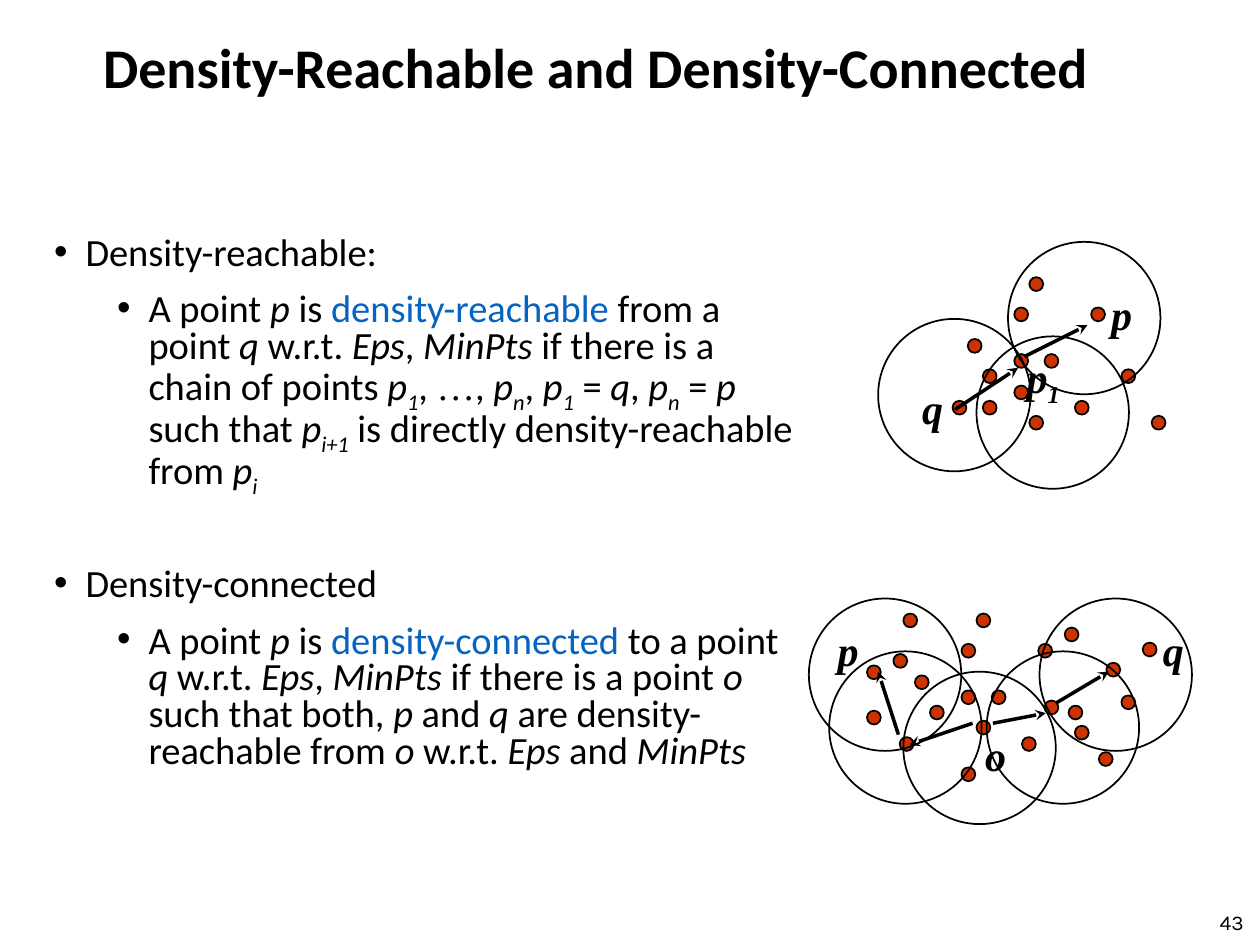
"""Build the slide on density-reachable and density-connected points."""
from lxml import etree
from pptx import Presentation
from pptx.dml.color import RGBColor
from pptx.enum.shapes import MSO_CONNECTOR, MSO_SHAPE
from pptx.enum.text import MSO_ANCHOR, PP_ALIGN
from pptx.oxml.ns import qn
from pptx.util import Pt

OVAL = MSO_SHAPE.OVAL
LINE = MSO_CONNECTOR.STRAIGHT
MIDDLE = MSO_ANCHOR.MIDDLE
TOP = MSO_ANCHOR.TOP
LEFT = PP_ALIGN.LEFT
RIGHT = PP_ALIGN.RIGHT
BLACK, BLUE, RED = "000000", "0563C1", "CC3300"
SERIF = "Times New Roman"
DOT, RING = 7.9, 87.1

TITLE = {"name": "Calibri", "size": Pt(32), "bold": True}
BODY = {"name": "Calibri", "size": Pt(22)}
LABEL = {"name": SERIF, "size": Pt(24), "bold": True, "italic": True}
NUMBER = {"name": "Karla", "size": Pt(12)}
MARKS = {"/": {"italic": True}, "_": {"italic": True}, "~": {"name": SERIF}, "#": {}}


def hue(code):
    return RGBColor.from_string(code)


def write(par, text, form):
    for part in text.split("|"):
        mark = part[0] if part[0] in MARKS else ""
        run = par.add_run()
        run.text = part[len(mark):]
        for key, value in {**form, **MARKS.get(mark, {})}.items():
            setattr(run.font, key, value)
        run.font.color.rgb = hue(BLUE if mark == "#" else BLACK)
        if mark == "_":
            run._r.get_or_add_rPr().set("baseline", "-25000")


deck = Presentation()
deck.slide_width, deck.slide_height = Pt(720), Pt(540)
slide = deck.slides.add_slide(deck.slide_layouts[6])

frames = []
for box, anchor in [
    ((51.8, 18.7, 620.6, 43.2), MIDDLE),
    ((23.8, 131.8, 444.2, 342.7), TOP),
    ((555.8, 518.4, 162, 16.6), MIDDLE),
]:
    frame = slide.shapes.add_textbox(*map(Pt, box)).text_frame
    frame.word_wrap, frame.vertical_anchor = True, anchor
    frames.append(frame)
title, body, number = frames

for frame, text, form, align in [
    (title, "Density-Reachable and Density-Connected", TITLE, LEFT),
    (number, "43", NUMBER, RIGHT),
]:
    par = frame.paragraphs[0]
    par.alignment = align
    write(par, text, form)
title.paragraphs[0].line_spacing = 0.9

points = [
    (0, 0, "Density-reachable:"),
    (1, 11, "A point |/p| is |#density-reachable| from a point |/q| w.r.t. |/Eps|, |/MinPts"
            "| if there is a chain of points |/p|_1|, |~…|, |/p|_n|, |/p|_1| = |/q|, |/p|_n"
            "| = |/p| such that |/p|_i+1| is directly density-reachable from |/p|_i"),
    (0, 43, "Density-connected"),
    (1, 11, "A point |/p| is |#density-connected| to a point |/q| w.r.t. |/Eps|, |/MinPts"
            "| if there is a point |/o |such that both, |/p| and |/q"
            "| are density-reachable from |/o| w.r.t. |/Eps| and |/MinPts"),
]
for level, gap, text in points:
    par = body.add_paragraph() if level or gap else body.paragraphs[0]
    par.level = level
    par.line_spacing, par.space_before = 0.8, Pt(gap)
    props = par._p.get_or_add_pPr()
    props.set("marL", str(Pt(18 + 36 * level)))
    props.set("indent", str(Pt(-18)))
    etree.SubElement(props, qn("a:buFont")).set("typeface", "Arial")
    etree.SubElement(props, qn("a:buChar")).set("char", "•")
    write(par, text, BODY)

shared = [
    (553, 193.7), (579.6, 202.3), (579.6, 175.7), (544.3, 229), (561.6, 211),
    (588.2, 158.4), (640.8, 211), (623.5, 175.7), (596.9, 202.3), (614.2, 229),
    (658.1, 237.6),
]
reach = {
    "dots": shared + [(561.6, 229), (588.2, 237.6), (579.6, 220.3)],
    "rings": [(558, 192.2), (501.8, 182.2), (576, 138.2)],
    "labels": [("p", 627.8, 161.3), ("q", 519.8, 215.3), ("p|_1", 579.6, 197.3)],
    "arrows": [(585.4, 203.8, 621.4, 185.8), (545.8, 234, 581.8, 210.2)],
}
joined = {
    "dots": [(x - 30.2, y + 192.2) for x, y in shared] + [
        (549.4, 438.5), (558, 411.8), (495.4, 406.1), (640.8, 397.4),
        (596.9, 400.3), (614.2, 414.7), (653, 367.2), (608.4, 358.6),
        (632.2, 378.7), (510.5, 373.7), (495.4, 380.2), (516.2, 350.6),
    ],
    "rings": [(473.8, 372.2), (516.2, 383.8), (563.8, 372.2), (594, 342), (462.2, 342)],
    "labels": [("p", 471.6, 353.5), ("q", 657.4, 353.5), ("o", 555.8, 413.3)],
    "arrows": [
        (555.8, 413.3, 519.8, 425.5), (567.4, 413.3, 597.6, 407.5),
        (513.4, 419.8, 501.8, 383.8), (603.4, 401.8, 633.6, 383.8),
    ],
}

for plot in (reach, joined):
    shapes = slide.shapes.add_group_shape().shapes
    for kind, size in (("dots", DOT), ("rings", RING)):
        for x, y in plot[kind]:
            oval = shapes.add_shape(OVAL, Pt(x), Pt(y), Pt(size), Pt(size))
            oval.shadow.inherit = False
            oval.line.color.rgb, oval.line.width = hue(BLACK), Pt(1)
            if kind == "dots":
                oval.fill.solid()
                oval.fill.fore_color.rgb = hue(RED)
            else:
                oval.fill.background()
    for text, x, y in plot["labels"]:
        wide = 48.2 if "_" in text else 30.2
        frame = shapes.add_textbox(Pt(x), Pt(y), Pt(wide), Pt(36)).text_frame
        frame.word_wrap = True
        write(frame.paragraphs[0], text, LABEL)
    for ends in plot["arrows"]:
        arrow = shapes.add_connector(LINE, *map(Pt, ends))
        arrow.line.color.rgb, arrow.line.width = hue(BLACK), Pt(2)
        tip = etree.SubElement(arrow.line._get_or_add_ln(), qn("a:tailEnd"))
        tip.set("type", "stealth")
        etree.SubElement(arrow._element.spPr, qn("a:effectLst"))

deck.save("out.pptx")
